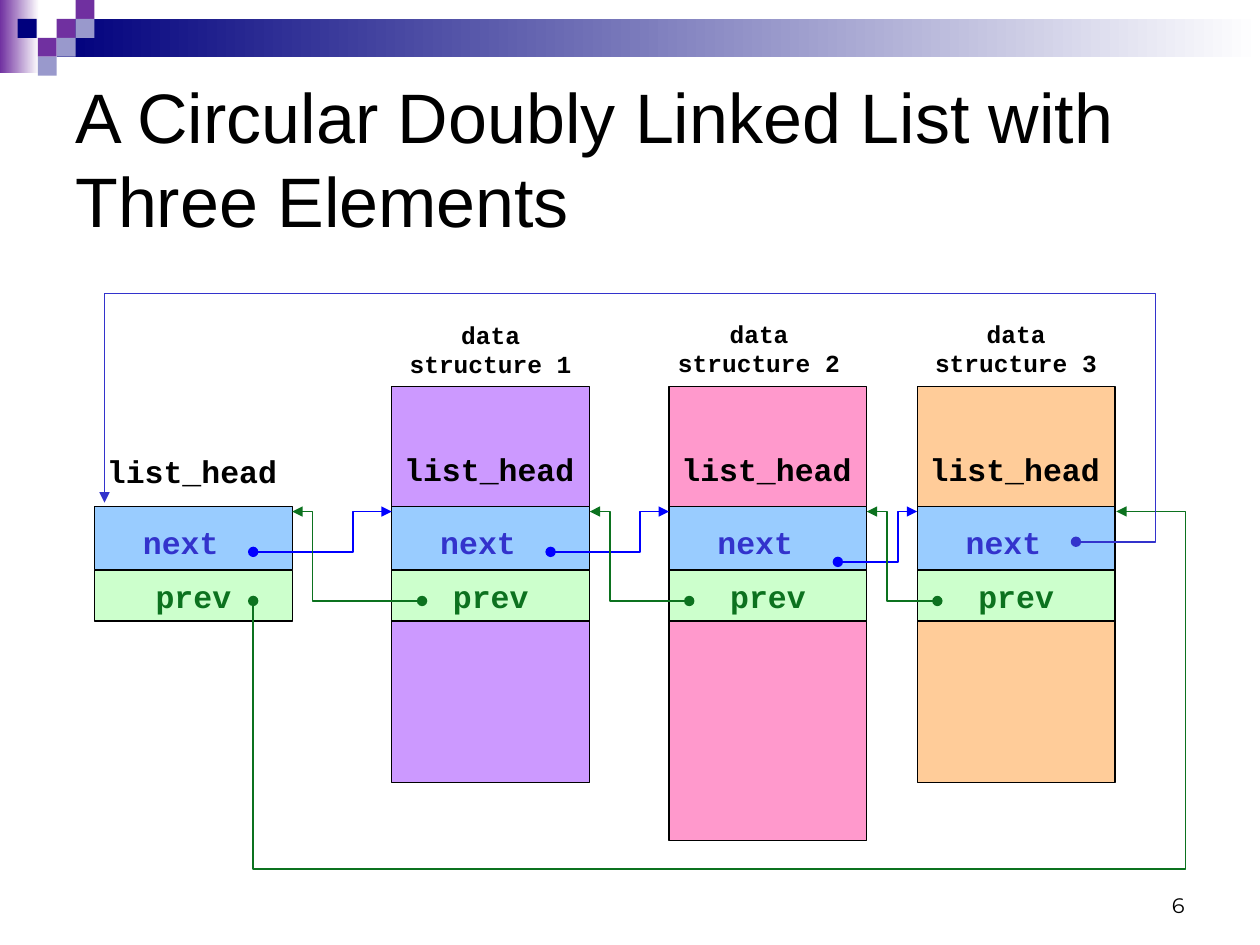
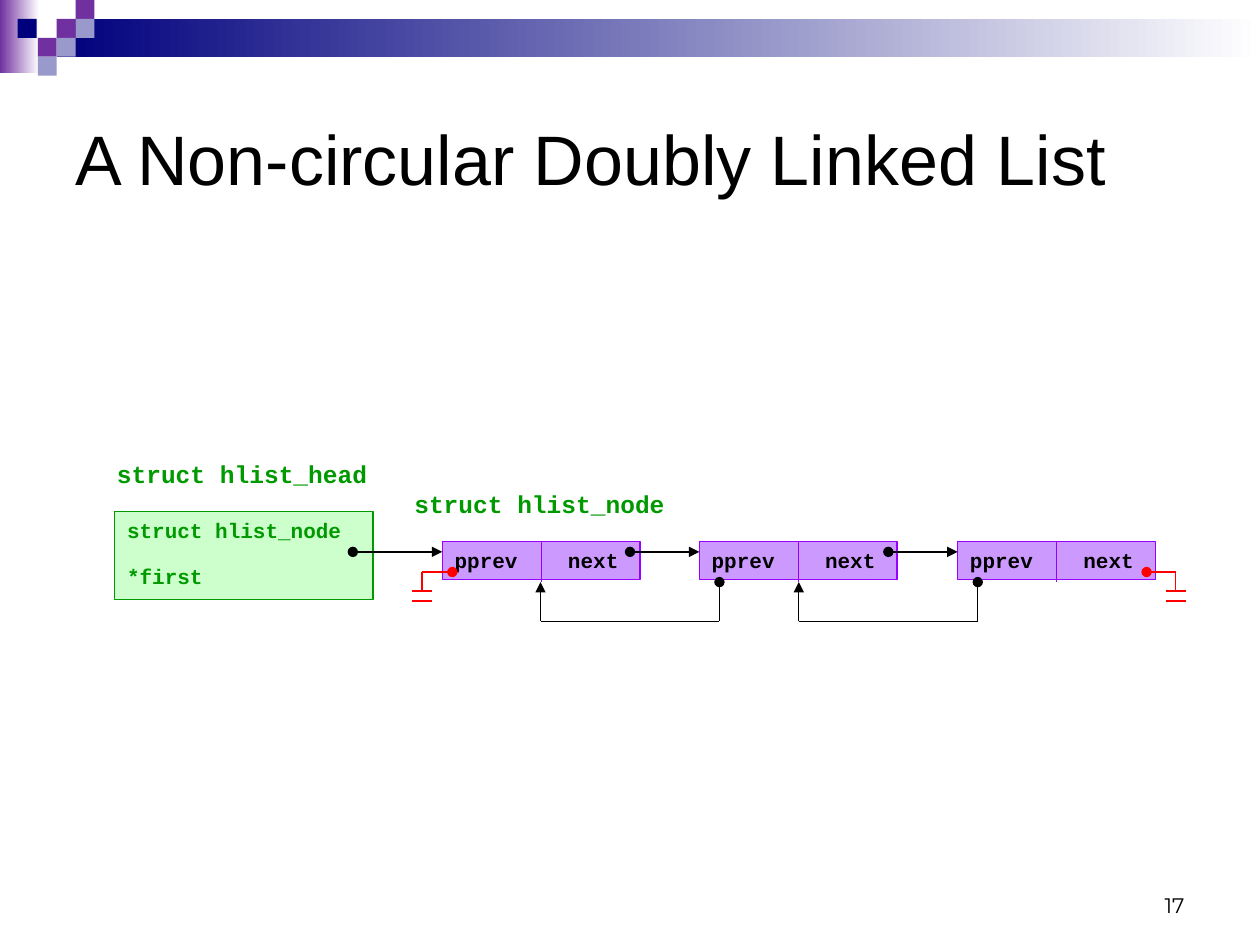
"""Build two slides on circular and straight doubly linked lists."""
from lxml import etree
from pptx import Presentation
from pptx.dml.color import RGBColor
from pptx.enum.shapes import MSO_CONNECTOR, MSO_SHAPE
from pptx.enum.text import MSO_ANCHOR, PP_ALIGN
from pptx.oxml.ns import qn
from pptx.util import Inches, Pt

RECT = MSO_SHAPE.RECTANGLE
LINE = MSO_CONNECTOR.STRAIGHT
LEFT, MID, RIGHT = PP_ALIGN.LEFT, PP_ALIGN.CENTER, PP_ALIGN.RIGHT
TOP, CENTER, BOTTOM = MSO_ANCHOR.TOP, MSO_ANCHOR.MIDDLE, MSO_ANCHOR.BOTTOM
CODE = "Courier New"
COLORS = {
    "black": "000000", "white": "FFFFFF", "purple": "7030A0", "navy": "00007D",
    "haze": "9999CC", "lilac": "CC99FF", "pink": "FF99CC", "peach": "FFCC99",
    "sky": "99CCFF", "mint": "CCFFCC", "indigo": "3333CC", "blue": "0000FF",
    "forest": "0C721F", "green": "009900", "violet": "9900FF", "red": "FF0000",
}
TILE = 0.15
TILES = [(0.45, 0.15, "purple"), (0.6, 0, "purple"), (0.6, 0.15, "haze"),
         (0.3, 0.3, "purple"), (0.14, 0.15, "navy"), (0.45, 0.3, "haze"),
         (0.3, 0.45, "haze")]


def color(name):
    return RGBColor.from_string(COLORS[name])


class Deck:
    """Holds the style and the current slide."""

    def __init__(self):
        self.prs = Presentation()
        self.prs.slide_width, self.prs.slide_height = Inches(10), Inches(7.5)
        self.slide = None

    def page(self, title, number):
        self.slide = self.prs.slides.add_slide(self.prs.slide_layouts[6])
        self.fade(0, 0, 0.31, 0.58, "purple")
        self.fade(0.45, 0.15, 9.55, 0.3, "navy")
        for x, y, fill in TILES:
            self.box(x, y, TILE, TILE, fill)
        self.label(7.17, 6.83, 2.33, 0.5, number, 12, font="Montserrat",
                   bold=False, align=RIGHT, anchor=BOTTOM)
        self.label(0.5, 0.5, 9, 1.5, title, 40, font="Arial", bold=False,
                   anchor=CENTER)

    def box(self, x, y, w, h, fill=None, edge=None):
        shape = self.slide.shapes.add_shape(
            RECT, Inches(x), Inches(y), Inches(w), Inches(h))
        shape.shadow.inherit = False
        if fill:
            shape.fill.solid()
            shape.fill.fore_color.rgb = color(fill)
        if edge:
            shape.line.color.rgb = color(edge)
            shape.line.width = Pt(0.75)
        else:
            shape.line.fill.background()
        return shape

    def fade(self, x, y, w, h, start):
        fill = self.box(x, y, w, h).fill
        fill.gradient()
        fill.gradient_angle = 0
        for stop, name in zip(fill.gradient_stops, (start, "white")):
            stop.color.rgb = color(name)

    def text(self, shape, lines, size, ink="black", font=CODE, bold=True,
             align=LEFT, anchor=TOP, top=0.05, right=0.1, gap=0, tab=None):
        frame = shape.text_frame
        frame.word_wrap = True
        frame.vertical_anchor = anchor
        frame.margin_top, frame.margin_right = Inches(top), Inches(right)
        for i, line in enumerate(lines.split("\n")):
            para = frame.add_paragraph() if i else frame.paragraphs[0]
            para.alignment = align
            if i:
                para.space_before = Pt(gap)
            if tab:
                stops = etree.SubElement(para._p.get_or_add_pPr(), qn("a:tabLst"))
                etree.SubElement(stops, qn("a:tab"), pos=str(Inches(tab)), algn="l")
            run = para.add_run()
            run.text = line
            run.font.name, run.font.size, run.font.bold = font, Pt(size), bold
            run.font.color.rgb = color(ink)

    def label(self, x, y, w, h, words, size, **style):
        shape = self.slide.shapes.add_textbox(
            Inches(x), Inches(y), Inches(w), Inches(h))
        self.text(shape, words, size, **style)

    def ends(self, shape, ink, width, head, tail):
        shape.line.color.rgb = color(ink)
        shape.line.width = Pt(width)
        stroke = shape.line._get_or_add_ln()
        for tag, kind in (("a:headEnd", head), ("a:tailEnd", tail)):
            if kind:
                etree.SubElement(stroke, qn(tag), type=kind)

    def line(self, x1, y1, x2, y2, ink="black", head=None, tail=None, join=None):
        wire = self.slide.shapes.add_connector(
            LINE, Inches(x1), Inches(y1), Inches(x2), Inches(y2))
        if join:
            wire.begin_connect(join, 0)
        self.ends(wire, ink, 0.75, head, tail)
        etree.SubElement(wire._element.spPr, qn("a:effectLst"))

    def route(self, ink, *points):
        first, *rest = [(Inches(x), Inches(y)) for x, y in points]
        pen = self.slide.shapes.build_freeform(*first)
        pen.add_line_segments(rest, close=False)
        shape = pen.convert_to_shape()
        shape.shadow.inherit = False
        shape.fill.background()
        self.ends(shape, ink, 1, "oval", "triangle")

    def links(self, x):
        cell = self.box(x, 4.02, 1.57, 0.5, "sky", "black")
        self.text(cell, "next", 18, "indigo", align=MID, top=0.13, right=0.3)
        cell = self.box(x, 4.53, 1.57, 0.4, "mint", "black")
        self.text(cell, "prev", 18, "forest", align=MID)

    def node(self, x):
        cell = self.box(x, 4.3, 1.57, 0.3, "lilac", "violet")
        self.text(cell, "pprev\tnext", 12, tab=0.9)
        self.line(x + 0.785, 4.3, x + 0.785, 4.62, "violet", join=cell)

    def ground(self, dot, x):
        self.line(dot, 4.54, x, 4.54, "red", head="oval")
        self.line(x, 4.54, x, 4.69, "red")
        for y in (4.69, 4.77):
            self.line(x - 0.08, y, x + 0.08, y, "red")


def ring(deck):
    deck.page("A Circular Doubly Linked List with Three Elements", "6")
    wide, tip = 1.57, 4.06
    lefts = [0.75, 3.11, 5.31, 7.28]
    deck.links(lefts[0])
    deck.label(lefts[0], 3.54, 1.73, 0.4, "list_head", 18)
    items = [(3.14, "lilac", 3.03, 2.49), (3.6, "pink", 5.16, 2.48),
             (3.14, "peach", 7.2, 2.48)]
    for i, (tall, fill, x, y) in enumerate(items, 1):
        body = deck.box(lefts[i], 3.07, wide, tall, fill, "black")
        deck.text(body, "list_head", 18, top=0.5)
        deck.links(lefts[i])
        deck.label(x, y, 1.73, 0.57, f"data structure {i}", 14, align=MID)
    nexts = [(2.01, 4.38, 2.8), (4.37, 4.38, 5.08), (6.65, 4.46, 7.13)]
    for (x, y, bend), goal in zip(nexts, lefts[1:]):
        deck.route("blue", (x, y), (bend, y), (bend, tip), (goal, tip))
    for left, dot in zip(lefts, (3.35, 5.47, 7.44)):
        goal = left + wide
        bend = goal + 0.16
        deck.route("forest", (dot, 4.77), (bend, 4.77), (bend, tip), (goal, tip))
    deck.route("forest", (2.01, 4.77), (2.01, 6.9), (9.41, 6.9), (9.41, tip),
               (8.86, tip))
    deck.route("indigo", (8.54, 4.3), (9.17, 4.3), (9.17, 2.33), (0.83, 2.33),
               (0.83, 3.99))


def chain(deck):
    deck.page("A Non-circular Doubly Linked List", "17")
    first = deck.box(0.91, 4.06, 2.05, 0.7, "mint", "green")
    deck.text(first, "struct hlist_node\n*first", 12, "green", gap=11.7)
    lefts = [3.51, 5.55, 7.6]
    for x in lefts:
        deck.node(x)
    for dot, goal in zip((2.8, 5, 7.05), lefts):
        deck.line(dot, 4.38, goal, 4.38, head="oval", tail="triangle")
    deck.ground(9.1, 9.33)
    deck.ground(3.59, 3.35)
    deck.label(0.83, 3.59, 2.2, 0.34, "struct hlist_head", 14, ink="green")
    deck.label(3.19, 3.83, 2.2, 0.34, "struct hlist_node", 14, ink="green")
    for goal, dot in ((4.29, 5.71), (6.34, 7.76)):
        deck.line(goal, 4.93, goal, 4.62, tail="triangle")
        deck.line(goal, 4.93, dot, 4.93)
        deck.line(dot, 4.62, dot, 4.93, head="oval")


def main():
    deck = Deck()
    ring(deck)
    chain(deck)
    deck.prs.save("out.pptx")


if __name__ == "__main__":
    main()
